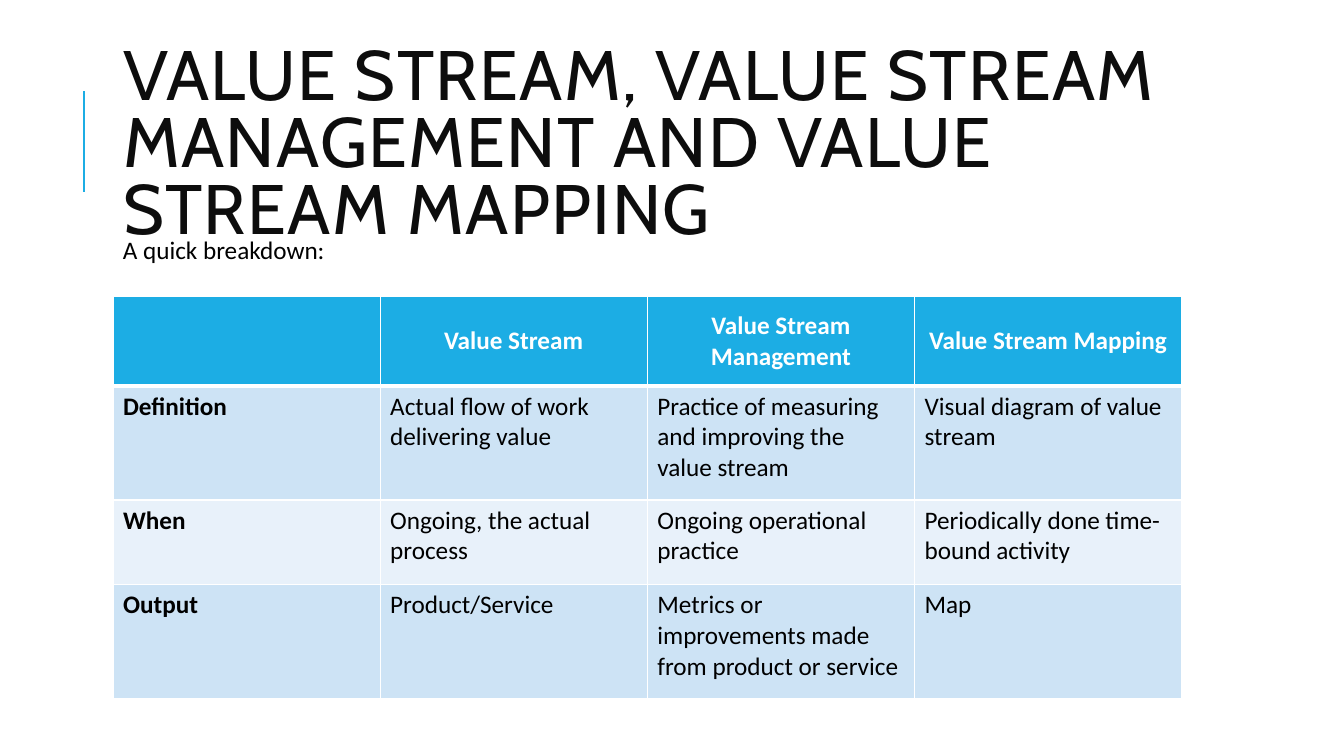
"""Build the slide that compares value stream, its management and its mapping."""
from lxml import etree
from pptx import Presentation
from pptx.dml.color import RGBColor
from pptx.enum.shapes import MSO_CONNECTOR
from pptx.enum.text import MSO_ANCHOR, MSO_AUTO_SIZE, PP_ALIGN
from pptx.oxml.ns import qn
from pptx.util import Inches, Pt

LEFT, CENTER = PP_ALIGN.LEFT, PP_ALIGN.CENTER
TOP, MIDDLE = MSO_ANCHOR.TOP, MSO_ANCHOR.MIDDLE
NO_FIT, GROW = MSO_AUTO_SIZE.NONE, MSO_AUTO_SIZE.SHAPE_TO_FIT_TEXT
STRAIGHT = MSO_CONNECTOR.STRAIGHT

WHITE = RGBColor(0xFF, 0xFF, 0xFF)
BLACK = RGBColor(0x00, 0x00, 0x00)
TITLE_INK = RGBColor(0x0D, 0x0D, 0x0D)
ACCENT = RGBColor(0x1C, 0xAD, 0xE4)
BAND_DARK = RGBColor(0xCD, 0xE3, 0xF5)
BAND_LIGHT = RGBColor(0xE8, 0xF1, 0xFA)


def write(frame, text, size=18, font="Calibri", color=BLACK, bold=False, align=LEFT):
    para = frame.paragraphs[0]
    para.alignment = align
    span = para.add_run()
    span.text = text
    span.font.size = Pt(size)
    span.font.name = font
    span.font.bold = bold
    span.font.color.rgb = color
    return para


def set_borders(cell, color, widths):
    properties = cell._tc.get_or_add_tcPr()
    for index, (side, width) in enumerate(widths.items()):
        line = etree.Element(qn(f"a:ln{side}"), w=str(Pt(width)))
        fill = etree.SubElement(line, qn("a:solidFill"))
        etree.SubElement(fill, qn("a:srgbClr"), val=str(color))
        properties.insert(index, line)


deck = Presentation()
deck.slide_width = Inches(13.33)
deck.slide_height = Inches(7.5)
page = deck.slides.add_slide(deck.slide_layouts[5])

accent_line = page.shapes.add_connector(
    STRAIGHT, Inches(0.83), Inches(1.9), Inches(0.83), Inches(0.9))
accent_line.line.color.rgb = ACCENT
accent_line.line.width = Pt(1.5)
etree.SubElement(accent_line._element.spPr, qn("a:effectLst"))

title = page.shapes.title
title.left, title.top = Inches(1.12), Inches(0.64)
title.width, title.height = Inches(10.63), Inches(1.64)
title.text_frame.word_wrap = True
title.text_frame.auto_size = NO_FIT
title.text_frame.vertical_anchor = MIDDLE
para = write(title.text_frame,
             "VALUE STREAM, VALUE STREAM MANAGEMENT AND VALUE STREAM MAPPING",
             size=50, font="Cabin", color=TITLE_INK)
para.line_spacing = 0.8
para.runs[0].font._element.set("spc", "100")

rows = [
    ("", "Value Stream", "Value Stream Management", "Value Stream Mapping"),
    ("Definition", "Actual flow of work delivering value",
     "Practice of measuring and improving the value stream",
     "Visual diagram of value stream"),
    ("When", "Ongoing, the actual process", "Ongoing operational practice",
     "Periodically done time-bound activity"),
    ("Output", "Product/Service",
     "Metrics or improvements made from product or service", "Map"),
]
row_heights = [0.89, 1.13, 0.84, 1.13]
row_fills = [ACCENT, BAND_DARK, BAND_LIGHT, BAND_DARK]

table = page.shapes.add_table(
    len(rows), len(rows[0]), Inches(1.12), Inches(2.94),
    Inches(10.6), Inches(sum(row_heights))).table
for column in table.columns:
    column.width = Inches(2.65)
for row_index, texts in enumerate(rows):
    table.rows[row_index].height = Inches(row_heights[row_index])
    header = row_index == 0
    for column_index, text in enumerate(texts):
        cell = table.cell(row_index, column_index)
        cell.fill.solid()
        cell.fill.fore_color.rgb = row_fills[row_index]
        cell.vertical_anchor = MIDDLE if header else TOP
        set_borders(cell, WHITE, {"L": 1, "R": 1, "T": 3 if row_index == 1 else 1,
                                  "B": 3 if header else 1})
        if text:
            write(cell.text_frame, text, color=WHITE if header else BLACK,
                  bold=header or column_index == 0, align=CENTER if header else LEFT)

intro = page.shapes.add_textbox(Inches(1.12), Inches(2.28), Inches(2.2), Inches(0.4))
intro.text_frame.word_wrap = False
intro.text_frame.auto_size = GROW
write(intro.text_frame, "A quick breakdown:")

deck.save("out.pptx")
